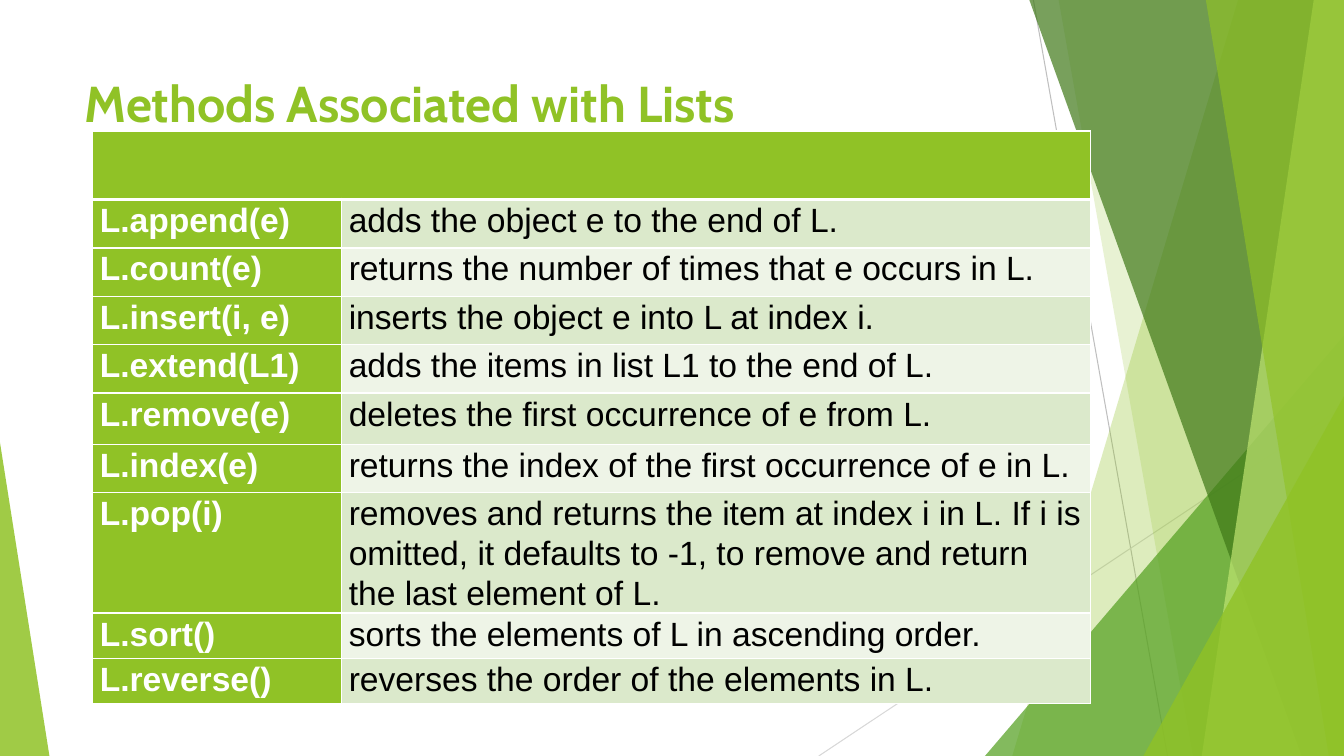
from lxml import etree
from pptx import Presentation
from pptx.dml.color import RGBColor
from pptx.enum.shapes import MSO_CONNECTOR, MSO_SHAPE
from pptx.enum.text import MSO_ANCHOR, PP_ALIGN
from pptx.oxml.ns import qn
from pptx.util import Inches, Pt

STRAIGHT = MSO_CONNECTOR.STRAIGHT
TRIANGLE = MSO_SHAPE.ISOSCELES_TRIANGLE
TOP = MSO_ANCHOR.TOP
LEFT = PP_ALIGN.LEFT

WIDTH, HEIGHT = 13.33, 7.5
COLORS = {
    "lime": "90C226", "green": "54A021", "forest": "3F7818", "pale": "BFE471",
    "gray": "BFBFBF", "silver": "D8D8D8", "white": "FFFFFF", "black": "000000",
    "row_dark": "DBE9CB", "row_light": "EEF4E7",
}
METHODS = [
    ("L.append(e)", "adds the object e to the end of L."),
    ("L.count(e)", "returns the number of times that e occurs in L."),
    ("L.insert(i, e)", "inserts the object e into L at index i."),
    ("L.extend(L1)", "adds the items in list L1 to the end of L."),
    ("L.remove(e)", "deletes the first occurrence of e from L."),
    ("L.index(e)", "returns the index of the first occurrence of e in L."),
    ("L.pop(i)", "removes and returns the item at index i in L. If i is omitted, "
                 "it defaults to -1, to remove and return the last element of L."),
    ("L.sort()", "sorts the elements of L in ascending order."),
    ("L.reverse()", "reverses the order of the elements in L."),
]
# Percentages of the slide's width and height
COLUMN_SHARES = [18.53, 55.74]
ROW_SHARES = [9.07] + [6.4] * 4 + [6.8, 6.4, 12, 6, 6]


def across(percent):
    return Inches(WIDTH * percent / 100)


def down(percent):
    return Inches(HEIGHT * percent / 100)


def rgb(name):
    return RGBColor.from_string(COLORS[name])


def paint(shape, color, opacity):
    """Fill without outline or shadow; opacity is a percentage."""
    shape.shadow.inherit = False
    shape.line.fill.background()
    shape.fill.solid()
    shape.fill.fore_color.rgb = rgb(color)
    solid = shape.fill._xPr.find(qn("a:solidFill"))
    etree.SubElement(solid[0], qn("a:alpha"), val=str(opacity * 1000))


def add_ray(slide, start, end, color):
    ray = slide.shapes.add_connector(
        STRAIGHT, across(start[0]), down(start[1]), across(end[0]), down(end[1]))
    ray.line.color.rgb = rgb(color)
    ray.line.width = Pt(0.75)
    etree.SubElement(ray._element.spPr, qn("a:effectLst"))


def add_band(slide, top_left, bottom_left, color, opacity):
    """Full-height band that reaches the right edge of the slide."""
    builder = slide.shapes.build_freeform(across(top_left), 0)
    builder.add_line_segments([
        (across(100), 0), (across(100), down(100)), (across(bottom_left), down(100))])
    paint(builder.convert_to_shape(), color, opacity)


def add_corner(slide, left, right, top, apex, color, opacity):
    """Triangle standing on the bottom edge; apex 0 is left, 1 is right."""
    corner = slide.shapes.add_shape(
        TRIANGLE, across(left), down(top), across(right - left), down(100 - top))
    corner.adjustments[0] = apex
    paint(corner, color, opacity)


def write(frame, text, *, size, font, color, bold, spacing=1.0):
    frame.word_wrap = True
    frame.text = text
    paragraph = frame.paragraphs[0]
    paragraph.alignment = LEFT
    paragraph.line_spacing = spacing
    style = paragraph.runs[0].font
    style.size, style.name, style.bold = Pt(size), font, bold
    style.color.rgb = rgb(color)


def format_cell(cell, fill, bottom=1):
    cell.margin_left = cell.margin_right = Inches(0.07)
    cell.margin_top = cell.margin_bottom = 0
    cell.vertical_anchor = TOP
    cell.fill.solid()
    cell.fill.fore_color.rgb = rgb(fill)
    properties = cell._tc.get_or_add_tcPr()
    widths = {"lnL": 1, "lnR": 1, "lnT": 1, "lnB": bottom}
    for position, (side, width) in enumerate(widths.items()):
        border = etree.Element(qn(f"a:{side}"), w=str(Pt(width)))
        solid = etree.SubElement(border, qn("a:solidFill"))
        etree.SubElement(solid, qn("a:srgbClr"), val=COLORS["white"])
        properties.insert(position, border)


def add_backdrop(slide):
    add_ray(slide, (76.89, 0), (86.87, 100), "gray")
    add_ray(slide, (100, 53.73), (60.92, 100), "silver")
    add_band(slide, 92.12, 75.32, "lime", 30)
    add_band(slide, 78.77, 88.75, "lime", 20)
    add_corner(slide, 73.29, 100, 44.4, 1, "green", 72)
    add_band(slide, 76.59, 96.85, "forest", 70)
    add_band(slide, 97.75, 89.42, "pale", 70)
    add_band(slide, 89.72, 98.87, "lime", 65)
    add_corner(slide, 85.07, 100, 52.4, 1, "lime", 80)
    add_corner(slide, 0, 3.68, 58.53, 0, "lime", 85)


def add_title(slide, text):
    title = slide.shapes.title
    title.left, title.top = across(5.55), down(8.93)
    title.width, title.height = across(70.52), down(19.2)
    title.text_frame.vertical_anchor = TOP
    write(title.text_frame, text, size=36, font="Cabin", color="lime", bold=True)


def add_methods(slide):
    table = slide.shapes.add_table(
        len(ROW_SHARES), len(COLUMN_SHARES), across(6.9), down(17.33),
        across(sum(COLUMN_SHARES)), down(sum(ROW_SHARES))).table
    for column, share in zip(table.columns, COLUMN_SHARES):
        column.width = across(share)
    for row, share in zip(table.rows, ROW_SHARES):
        row.height = down(share)

    for cell in table.rows[0].cells:
        format_cell(cell, "lime", bottom=3)
    table.cell(0, 0).merge(table.cell(0, 1))

    for number, (method, meaning) in enumerate(METHODS, start=1):
        stripe = "row_dark" if number % 2 else "row_light"
        columns = [(method, "lime", "white", True), (meaning, stripe, "black", False)]
        for index, (text, fill, color, bold) in enumerate(columns):
            cell = table.cell(number, index)
            format_cell(cell, fill)
            write(cell.text_frame, text, size=24, font="Arial", color=color,
                  bold=bold, spacing=1.07)


def main():
    presentation = Presentation()
    presentation.slide_width = Inches(WIDTH)
    presentation.slide_height = Inches(HEIGHT)
    slide = presentation.slides.add_slide(presentation.slide_layouts[5])
    add_backdrop(slide)
    add_title(slide, "Methods Associated with Lists")
    add_methods(slide)
    presentation.save("out.pptx")


if __name__ == "__main__":
    main()
